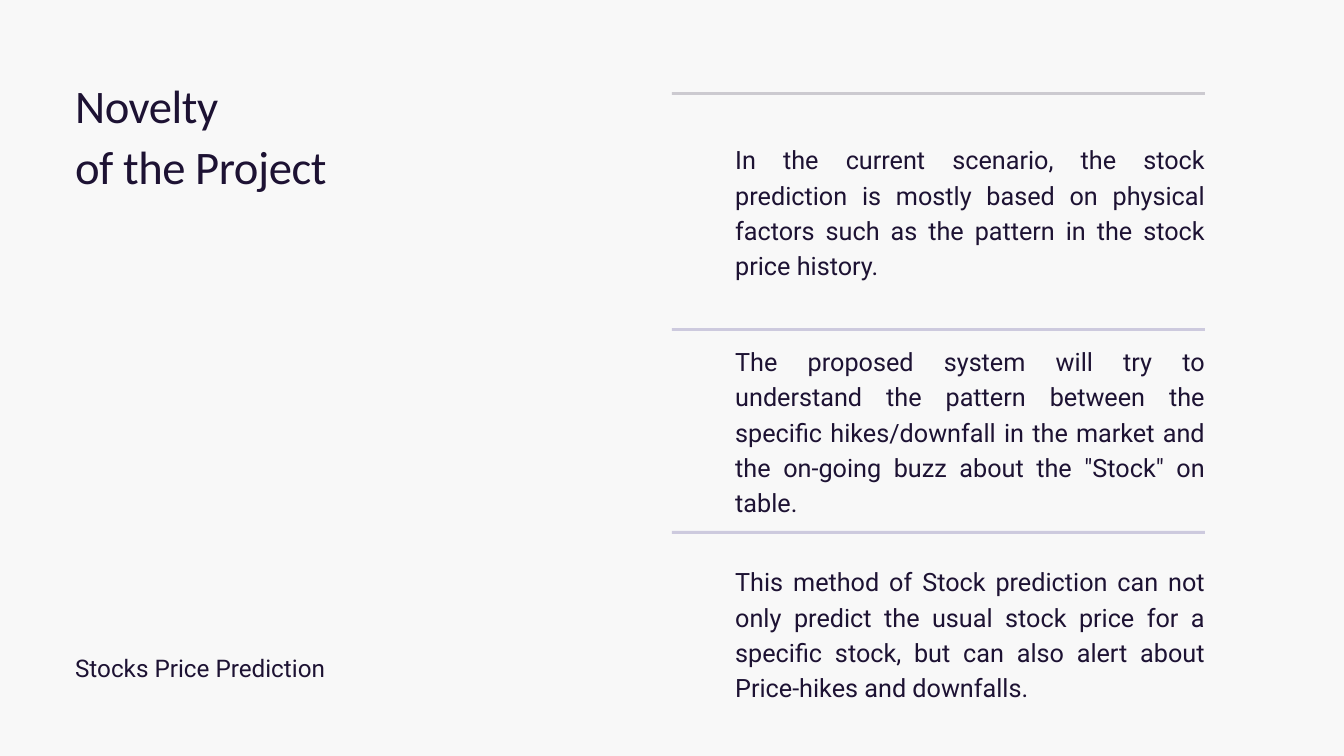
from dataclasses import dataclass

from lxml.etree import SubElement
from pptx import Presentation
from pptx.dml.color import RGBColor
from pptx.enum.shapes import MSO_SHAPE
from pptx.enum.text import MSO_AUTO_SIZE, PP_ALIGN
from pptx.oxml.ns import qn
from pptx.util import Cm, Pt


@dataclass(frozen=True)
class Theme:
    background: str = "F8F8F8"
    ink: str = "1D1233"
    violet: str = "231279"
    rule_opacity: int = 20
    title: tuple = ("Calibri", 50, 65)
    body: tuple = ("Roboto", 27, 37.8)
    footer: tuple = ("Roboto", 26, 36.4)


class SlideBuilder:
    def __init__(self, prs, theme):
        self.theme = theme
        self.s = prs.slides.add_slide(prs.slide_layouts[6])
        fill = self.s.background.fill
        fill.solid()
        fill.fore_color.rgb = RGBColor.from_string(theme.background)

    def text(self, lines, box, style, align=PP_ALIGN.LEFT, tracking=None):
        font, size, leading = style
        tf = self.s.shapes.add_textbox(*map(Cm, box)).text_frame
        frame_format = {
            "word_wrap": True,
            "auto_size": MSO_AUTO_SIZE.SHAPE_TO_FIT_TEXT,
            "margin_left": 0,
            "margin_top": 0,
            "margin_right": 0,
            "margin_bottom": 0,
        }
        for name, value in frame_format.items():
            setattr(tf, name, value)
        for i, line in enumerate(lines):
            p = tf.add_paragraph() if i else tf.paragraphs[0]
            p.alignment = align
            p.line_spacing = Pt(leading)
            r = p.add_run()
            r.text = line
            for name, value in {"name": font, "size": Pt(size)}.items():
                setattr(r.font, name, value)
            r.font.color.rgb = RGBColor.from_string(self.theme.ink)
            if tracking:
                r._r.get_or_add_rPr().set("spc", str(int(tracking * 100)))

    def rule(self, box, color):
        sp = self.s.shapes.add_shape(MSO_SHAPE.RECTANGLE, *map(Cm, box))
        sp.shadow.inherit = False
        sp.line.fill.background()
        sp.fill.solid()
        sp.fill.fore_color.rgb = RGBColor.from_string(color)
        clr = sp._element.spPr.find(".//" + qn("a:srgbClr"))
        SubElement(clr, qn("a:alpha")).set("val", str(self.theme.rule_opacity * 1000))


def main():
    theme = Theme()
    prs = Presentation()
    prs.slide_width, prs.slide_height = Cm(50.8), Cm(28.575)
    slide = SlideBuilder(prs, theme)

    points = [
        (5.28, 5.28, "In the current scenario, the stock prediction is mostly based on "
                     "physical factors such as the pattern in the stock price history."),
        (12.9, 6.6, "The proposed system will try to understand the pattern between the "
                    "specific hikes/downfall in the market and the on-going buzz about "
                    "the \"Stock\" on table."),
        (21.23, 5.28, "This method of Stock prediction can not only predict the usual "
                      "stock price for a specific stock, but can also alert about "
                      "Price-hikes and downfalls."),
    ]
    for top, height, point in points:
        slide.text([point], (27.79, top, 17.75, height), theme.body, PP_ALIGN.JUSTIFY)

    slide.text(["Novelty", "of the Project"], (2.84, 2.74, 15.29, 4.52),
               theme.title, tracking=-0.5)
    slide.text(["Stocks Price Prediction"], (2.84, 24.49, 15.29, 1.24), theme.footer)

    for top, color in [(20.07, theme.violet), (12.4, theme.violet), (3.48, theme.ink)]:
        slide.rule((25.4, top, 20.14, 0.11), color)

    prs.save("out.pptx")


if __name__ == "__main__":
    main()
